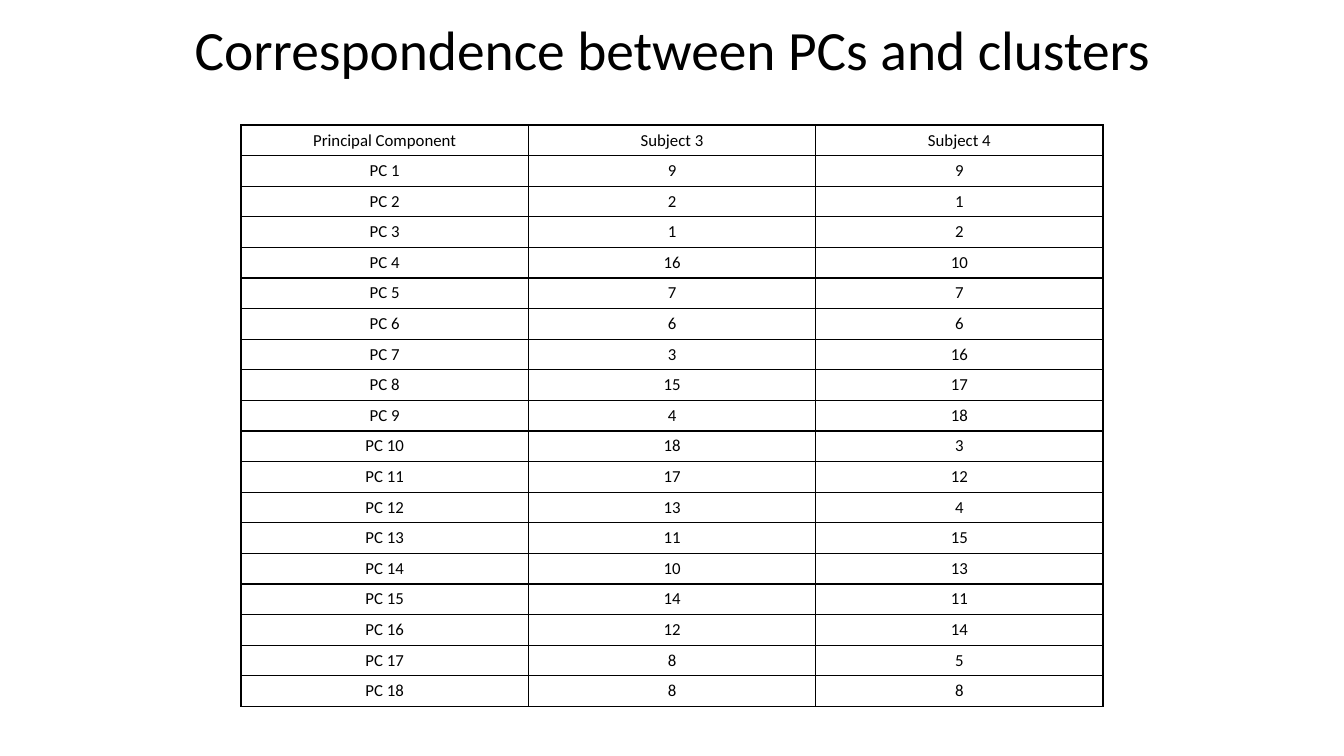
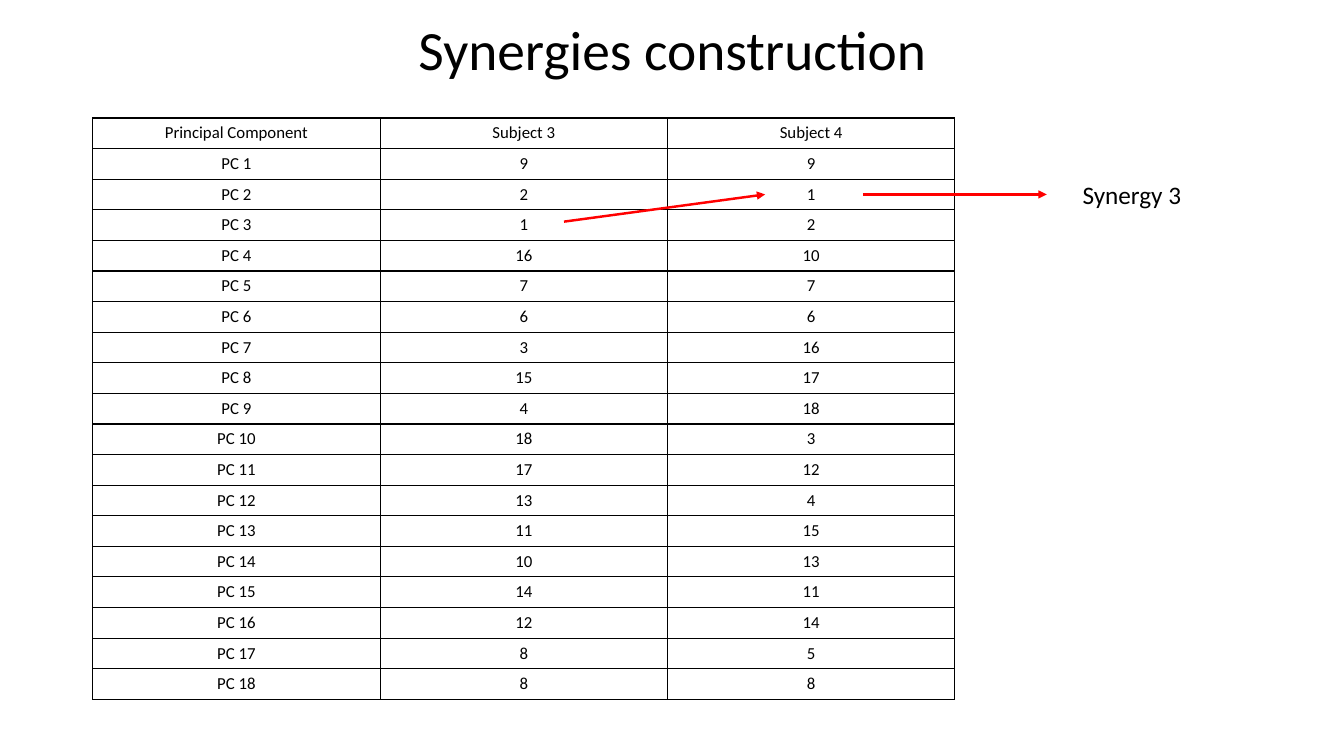
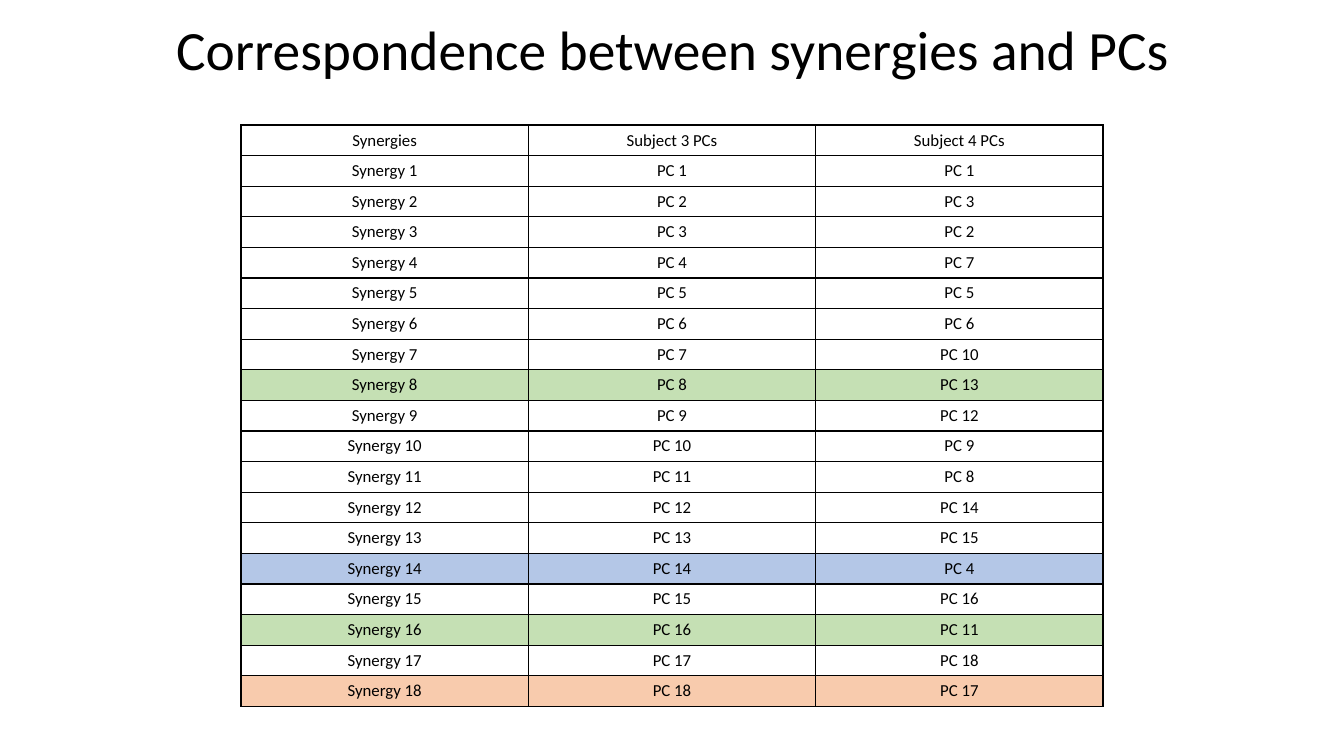
from lxml import etree
from pptx import Presentation
from pptx.dml.color import RGBColor
from pptx.enum.shapes import MSO_CONNECTOR
from pptx.enum.text import MSO_ANCHOR, MSO_AUTO_SIZE, PP_ALIGN
from pptx.oxml.ns import qn
from pptx.util import Inches, Pt

STRAIGHT = MSO_CONNECTOR.STRAIGHT
MIDDLE = MSO_ANCHOR.MIDDLE
NO_FIT, GROW = MSO_AUTO_SIZE.NONE, MSO_AUTO_SIZE.SHAPE_TO_FIT_TEXT
CENTER, LEFT = PP_ALIGN.CENTER, PP_ALIGN.LEFT

SLIDE_SIZE = (13.33, 7.5)
TITLE_BOX = (0.92, 0.26, 11.5, 0.53)
CENTERED_TABLE = (2.39, 1.24)
LEFT_TABLE = (0.92, 1.17)
COLUMN, ROW = 2.85, 0.3
FONT = "Calibri"
BLACK, RED = "000000", "FF0000"
GREEN, BLUE, ORANGE = "C5E0B4", "B4C7E7", "F8CBAD"

SUBJECT_3_CLUSTERS = [9, 2, 1, 16, 7, 6, 3, 15, 4, 18, 17, 13, 11, 10, 14, 12, 8, 8]
SUBJECT_4_CLUSTERS = [9, 1, 2, 10, 7, 6, 16, 17, 18, 3, 12, 4, 15, 13, 11, 14, 5, 8]
SUBJECT_4_PCS = [1, 3, 2, 7, 5, 6, 10, 13, 12, 9, 8, 14, 15, 4, 16, 11, 18, 17]

CLUSTER_ROWS = [("Principal Component", "Subject 3", "Subject 4")] + [
    (f"PC {number}", str(third), str(fourth))
    for number, (third, fourth) in enumerate(zip(SUBJECT_3_CLUSTERS, SUBJECT_4_CLUSTERS), 1)
]
SYNERGY_ROWS = [("Synergies", "Subject 3 PCs", "Subject 4 PCs")] + [
    (f"Synergy {number}", f"PC {number}", f"PC {match}")
    for number, match in enumerate(SUBJECT_4_PCS, 1)
]
SYNERGY_FILLS = {8: GREEN, 14: BLUE, 16: GREEN, 18: ORANGE}


def color(value):
    return RGBColor.from_string(value)


def inches(values):
    return [Inches(value) for value in values]


def apply(target, formats):
    for name, value in formats.items():
        setattr(target, name, value)


def write(frame, text, size, align=CENTER, spacing=None):
    para = frame.paragraphs[0]
    apply(para, {"alignment": align, "line_spacing": spacing})
    span = para.add_run()
    span.text = text
    apply(span.font, {"name": FONT, "size": Pt(size), "bold": False})
    span.font.color.rgb = color(BLACK)


def add_titled_page(deck, title):
    page = deck.slides.add_slide(deck.slide_layouts[5])
    box = page.shapes.title
    apply(box, dict(zip(("left", "top", "width", "height"), inches(TITLE_BOX))))
    apply(box.text_frame, {"word_wrap": True, "auto_size": NO_FIT, "vertical_anchor": MIDDLE})
    write(box.text_frame, title, 39.6, spacing=0.9)
    return page


def add_borders(cell):
    properties = cell._tc.get_or_add_tcPr()
    for position, side in enumerate(("lnL", "lnR", "lnT", "lnB")):
        line = etree.Element(qn(f"a:{side}"), w=str(Pt(1)))
        fill = etree.SubElement(line, qn("a:solidFill"))
        etree.SubElement(fill, qn("a:srgbClr"), val=BLACK)
        properties.insert(position, line)


def add_grid(page, origin, rows, row_fills):
    columns = len(rows[0])
    size = (COLUMN * columns, ROW * len(rows))
    table = page.shapes.add_table(len(rows), columns, *inches(origin + size)).table
    apply(table, {"first_row": False, "horz_banding": False})
    for row_index, row in enumerate(rows):
        for column_index, text in enumerate(row):
            cell = table.cell(row_index, column_index)
            write(cell.text_frame, text, 12)
            if row_index in row_fills:
                cell.fill.solid()
                cell.fill.fore_color.rgb = color(row_fills[row_index])
            else:
                cell.fill.background()
            add_borders(cell)


def grid_point(origin, column, row):
    return inches((origin[0] + column * COLUMN, origin[1] + row * ROW))


def add_arrow(page, start, end):
    arrow = page.shapes.add_connector(STRAIGHT, *start, *end)
    arrow.line.width = Pt(1.75)
    arrow.line.color.rgb = color(RED)
    etree.SubElement(arrow.line._get_or_add_ln(), qn("a:tailEnd"), type="triangle")
    etree.SubElement(arrow._element.spPr, qn("a:effectLst"))


def add_synergy_trail(page, origin):
    for start, end in (((1.64, 3.43), (2.34, 2.53)), ((2.68, 2.53), (3.32, 2.53))):
        add_arrow(page, grid_point(origin, *start), grid_point(origin, *end))
    label = page.shapes.add_textbox(*grid_point(origin, 3.41, 1.87), *inches((2.2, 0.4)))
    apply(label.text_frame, {"word_wrap": True, "auto_size": GROW})
    write(label.text_frame, "Synergy 3", 18, LEFT)


def add_table_page(deck, title, origin, rows, row_fills):
    page = add_titled_page(deck, title)
    add_grid(page, origin, rows, row_fills)
    return page


def main():
    deck = Presentation()
    apply(deck, dict(zip(("slide_width", "slide_height"), inches(SLIDE_SIZE))))
    add_table_page(deck, "Correspondence between PCs and clusters", CENTERED_TABLE, CLUSTER_ROWS, {})
    construction = add_table_page(deck, "Synergies construction", LEFT_TABLE, CLUSTER_ROWS, {})
    add_synergy_trail(construction, LEFT_TABLE)
    add_table_page(
        deck, "Correspondence between synergies and PCs", CENTERED_TABLE, SYNERGY_ROWS, SYNERGY_FILLS
    )
    deck.save("out.pptx")


if __name__ == "__main__":
    main()
